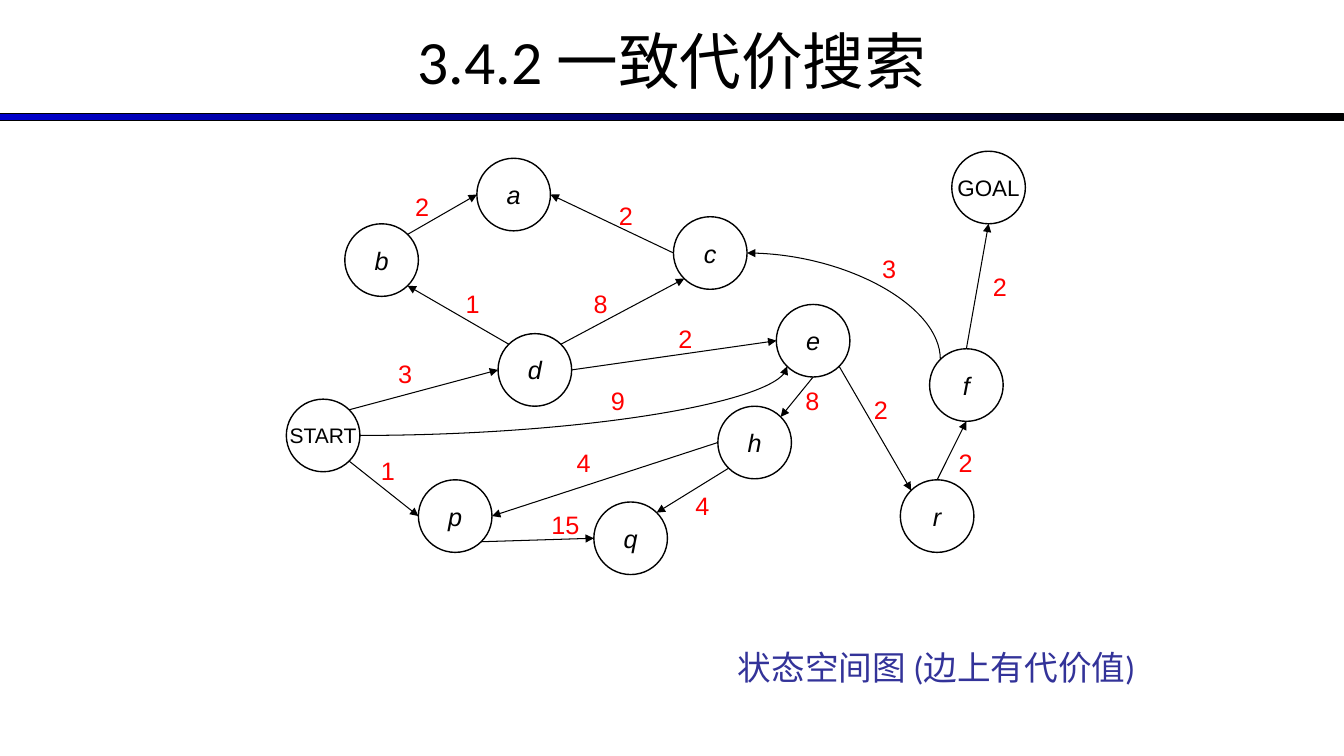
from math import cos, radians, sin

from lxml import etree
from pptx import Presentation
from pptx.dml.color import RGBColor
from pptx.enum.shapes import MSO_CONNECTOR, MSO_SHAPE
from pptx.enum.text import MSO_ANCHOR, PP_ALIGN
from pptx.oxml.ns import qn
from pptx.util import Inches, Pt

BLACK = RGBColor(0, 0, 0)
BLUE = RGBColor(0, 0, 0xCC)
INDIGO = RGBColor(0x33, 0x33, 0x99)
RED = RGBColor(0xFF, 0, 0)

RECTANGLE, CIRCLE = MSO_SHAPE.RECTANGLE, MSO_SHAPE.FLOWCHART_CONNECTOR
STRAIGHT, CURVE = MSO_CONNECTOR.STRAIGHT, MSO_CONNECTOR.CURVE
TOP, MIDDLE = MSO_ANCHOR.TOP, MSO_ANCHOR.MIDDLE
LEFT, CENTER, RIGHT = PP_ALIGN.LEFT, PP_ALIGN.CENTER, PP_ALIGN.RIGHT

# Connection sites of a circle, counter-clockwise from the top
N, NW, W, SW, S, SE, E, NE = range(8)

SLIDE_WIDTH, SLIDE_HEIGHT = 13.33, 7.5
NODE_WIDTH, NODE_HEIGHT = 0.73, 0.72

# Node name: left, top
NODES = {
    "START": (2.84, 3.96), "GOAL": (9.44, 1.5), "d": (4.94, 3.31),
    "b": (3.42, 2.22), "p": (4.15, 4.76), "q": (5.89, 4.98),
    "c": (6.68, 2.15), "e": (7.7, 3.02), "h": (7.12, 4.03),
    "a": (4.73, 1.57), "f": (9.22, 3.46), "r": (8.93, 4.76),
}
NODE_SIZES = {"START": 15, "GOAL": 16}

# Start node, site, end node, site, cost, cost left, cost top
EDGES = [
    ("START", SE, "p", W, 1, 3.68, 4.47),
    ("p", SE, "q", W, 15, 5.37, 5.0),
    ("h", SW, "q", NE, 4, 6.8, 4.82),
    ("h", W, "p", E, 4, 5.62, 4.39),
    ("e", S, "h", NE, 8, 7.89, 3.77),
    ("e", SE, "r", NW, 2, 8.57, 3.86),
    ("r", N, "f", S, 2, 9.41, 4.39),
    ("f", N, "GOAL", S, 2, 9.75, 2.64),
    ("START", NE, "d", W, 3, 3.85, 3.51),
    ("d", NW, "b", SE, 1, 4.52, 2.81),
    ("b", NE, "a", W, 2, 4.02, 1.85),
    ("c", W, "a", E, 2, 6.04, 1.94),
    ("d", NE, "c", SW, 8, 5.79, 2.81),
    ("d", E, "e", W, 2, 6.63, 3.16),
    ("f", NW, "c", E, 3, 8.65, 2.46),
    ("START", E, "e", SW, 9, 5.96, 3.77),
]
CURVED = {("START", "e"), ("f", "c")}


class GraphPage:
    def __init__(self, deck):
        self.page = deck.slides.add_slide(deck.slide_layouts[5])
        self.shapes = self.page.shapes
        self.nodes = {}

    def put_text(self, shape, text, size, color, align=LEFT, anchor=TOP,
                 font="Arial", italic=False, wrap=True, spacing=1.0):
        frame = shape.text_frame
        frame.word_wrap = wrap
        frame.vertical_anchor = anchor
        para = frame.paragraphs[0]
        para.alignment = align
        para.line_spacing = spacing
        span = para.add_run()
        span.text = text
        style = {"name": font, "size": Pt(size), "italic": italic, "bold": False}
        for name, value in style.items():
            setattr(span.font, name, value)
        span.font.color.rgb = color

    def title(self, text):
        box = self.shapes.title
        place = {"left": 0, "top": -0.03, "width": SLIDE_WIDTH, "height": 1.25}
        for name, value in place.items():
            setattr(box, name, Inches(value))
        self.put_text(box, text, 44, BLACK, CENTER, MIDDLE, "Calibri")

    def rule(self):
        bar = self.shapes.add_shape(
            RECTANGLE, 0, Inches(1.13), Inches(SLIDE_WIDTH), Inches(0.07))
        bar.shadow.inherit = False
        bar.fill.gradient()
        bar.fill.gradient_angle = 0
        for stop, color in zip(bar.fill.gradient_stops, (BLUE, BLACK)):
            stop.color.rgb = color
        bar.line.color.rgb = BLACK
        bar.line.width = Pt(0.75)

    def label(self, text, left, top, width, height, size, color, **style):
        box = self.shapes.add_textbox(
            Inches(left), Inches(top), Inches(width), Inches(height))
        self.put_text(box, text, size, color, **style)

    def node(self, name, left, top):
        circle = self.shapes.add_shape(
            CIRCLE, Inches(left), Inches(top), Inches(NODE_WIDTH), Inches(NODE_HEIGHT))
        circle.shadow.inherit = False
        circle.fill.background()
        circle.line.color.rgb = BLACK
        circle.line.width = Pt(1)
        self.put_text(circle, name, NODE_SIZES.get(name, 18), BLACK, CENTER, MIDDLE,
                      italic=name not in NODE_SIZES, wrap=False)
        self.nodes[name] = circle

    def site(self, name, index):
        left, top = NODES[name]
        angle = radians(-90 - 45 * index)
        return (left + NODE_WIDTH / 2 * (1 + cos(angle)),
                top + NODE_HEIGHT / 2 * (1 + sin(angle)))

    def edge(self, start, start_site, end, end_site):
        points = self.site(start, start_site) + self.site(end, end_site)
        curved = (start, end) in CURVED
        line = self.shapes.add_connector(
            CURVE if curved else STRAIGHT, *map(Inches, points))
        line.line.color.rgb = BLACK
        line.line.width = Pt(0.75)
        element = line._element
        properties = element.spPr
        etree.SubElement(properties, qn("a:effectLst"))
        etree.SubElement(properties.find(qn("a:ln")), qn("a:tailEnd"), type="triangle")
        # Join both ends to the circles' eight-point sites
        joints = element.find(".//" + qn("p:cNvCxnSpPr"))
        for tag, name, index in (("a:stCxn", start, start_site), ("a:endCxn", end, end_site)):
            etree.SubElement(joints, qn(tag), id=str(self.nodes[name].shape_id), idx=str(index))
        if curved:
            properties.find(qn("a:prstGeom")).set("prst", "curvedConnector2")
            if start_site == NW:
                self.leave_upwards(line)

    def leave_upwards(self, line):
        """Turn a quarter-bend so that it starts upwards and ends leftwards."""
        center_x = line.left + line.width // 2
        center_y = line.top + line.height // 2
        line.width, line.height = line.height, line.width
        line.left = center_x - line.width // 2
        line.top = center_y - line.height // 2
        frame = line._element.spPr.find(qn("a:xfrm"))
        for name, value in {"rot": "5400000", "flipH": "1", "flipV": "0"}.items():
            frame.set(name, value)


def main():
    deck = Presentation()
    deck.slide_width, deck.slide_height = Inches(SLIDE_WIDTH), Inches(SLIDE_HEIGHT)
    graph = GraphPage(deck)

    # Heading and caption
    graph.rule()
    graph.title("3.4.2 一致代价搜索")
    graph.label("状态空间图 (边上有代价值)", 6, 6.41, 5.36, 0.6, 24, INDIGO,
                align=RIGHT, font="Calibri", spacing=0.9)

    # State-space graph
    for name, (left, top) in NODES.items():
        graph.node(name, left, top)
    for *ends, cost, left, top in EDGES:
        graph.edge(*ends)
        graph.label(str(cost), left, top, 0.51 if cost > 9 else 0.34, 0.4, 18, RED)

    deck.save("out.pptx")


if __name__ == "__main__":
    main()
